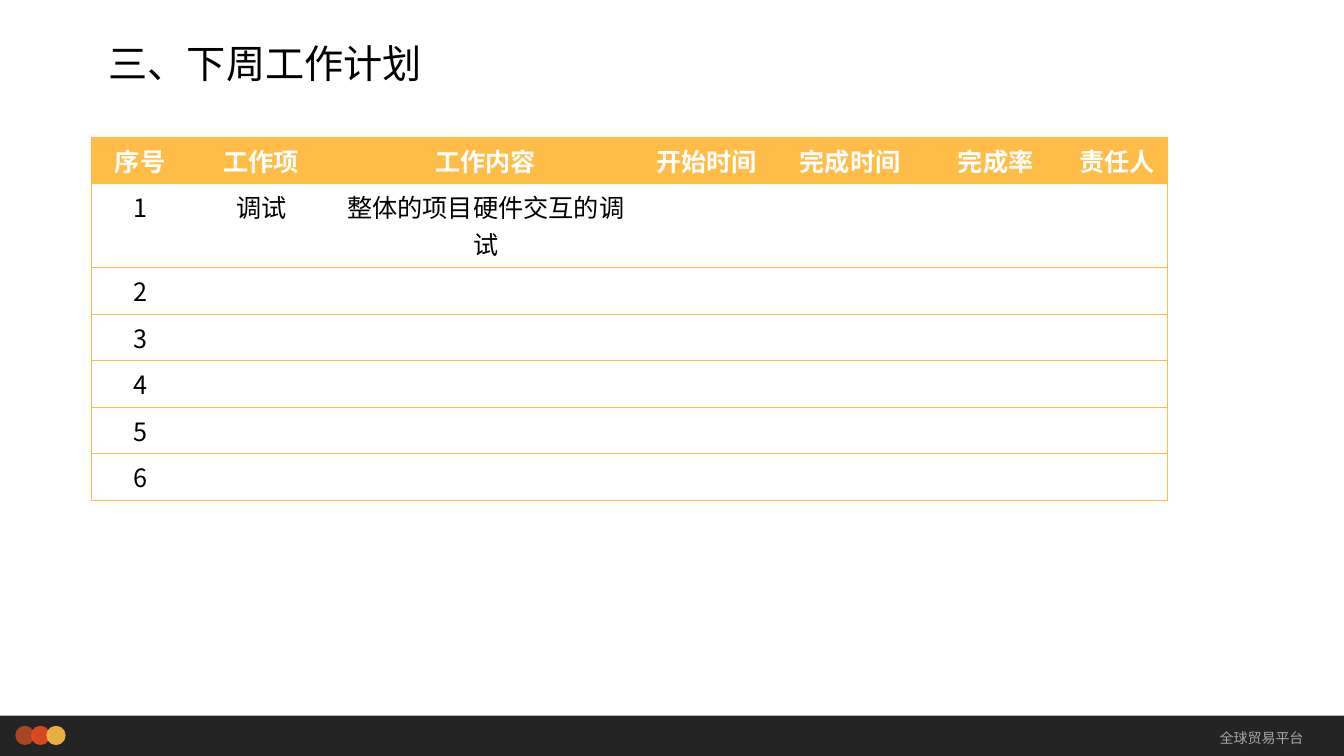
from pptx import Presentation
from pptx.dml.color import RGBColor
from pptx.enum.shapes import MSO_SHAPE
from pptx.enum.text import MSO_ANCHOR, PP_ALIGN
from pptx.oxml.ns import qn
from pptx.util import Pt
from lxml.etree import SubElement, Element

# Content
TITLE = "三、下周工作计划"
FOOTER = "全球贸易平台"
HEADER = ["序号", "工作项", "工作内容", "开始时间", "完成时间", "完成率", "责任人"]
TASKS = [("调试", "整体的项目硬件交互的调试"), (), (), (), (), ()]
COL_WIDTHS = [69.5, 103.8, 216.8, 98.6, 106.6, 101.5, 72]
ROW_HEIGHT, TALL_ROW_HEIGHT = 33.2, 60

# Style
FONT = "Noto Sans CJK SC"
BLACK = RGBColor(0x00, 0x00, 0x00)
WHITE = RGBColor(0xFF, 0xFF, 0xFF)
CHARCOAL = RGBColor(0x0D, 0x0D, 0x0D)
GREY = RGBColor(0xA6, 0xA6, 0xA6)
RUST = RGBColor(0xB6, 0x49, 0x26)
RED = RGBColor(0xE8, 0x4C, 0x22)
AMBER = RGBColor(0xFF, 0xBD, 0x47)


def write(tf, text, size=18, color=BLACK, bold=False, align=PP_ALIGN.LEFT,
          anchor=MSO_ANCHOR.TOP, spacing=None):
    tf.word_wrap = True
    tf.vertical_anchor = anchor
    p = tf.paragraphs[0]
    p.alignment = align
    p.line_spacing = spacing
    r = p.add_run()
    r.text = text
    r.font.name = FONT
    r.font.size = Pt(size)
    r.font.bold = bold
    r.font.color.rgb = color
    SubElement(r.font._element, qn("a:ea"), typeface=FONT)


def add_solid(s, kind, left, top, width, height, color):
    sp = s.shapes.add_shape(kind, Pt(left), Pt(top), Pt(width), Pt(height))
    sp.shadow.inherit = False
    sp.line.fill.background()
    sp.fill.solid()
    sp.fill.fore_color.rgb = color
    clr = sp.fill._xPr.find(qn("a:solidFill"))[0]
    SubElement(clr, qn("a:alpha"), val="90000")


def set_borders(cell, colors):
    """Set left, right, top and bottom lines; None hides a line."""
    tcPr = cell._tc.get_or_add_tcPr()
    for i, (side, color) in enumerate(zip("LRTB", colors)):
        ln = Element(qn(f"a:ln{side}"), w=str(Pt(0.5)))
        if color is None:
            SubElement(ln, qn("a:noFill"))
        else:
            fill = SubElement(ln, qn("a:solidFill"))
            SubElement(fill, qn("a:srgbClr"), val=str(color))
        tcPr.insert(i, ln)


prs = Presentation()
prs.slide_width, prs.slide_height = Pt(960), Pt(540)
s = prs.slides.add_slide(prs.slide_layouts[6])

# Footer bar with three overlapping dots
add_solid(s, MSO_SHAPE.RECTANGLE, 0, 511.2, 960, 28.8, CHARCOAL)
for i, color in enumerate([RUST, RED, AMBER]):
    add_solid(s, MSO_SHAPE.OVAL, 10.9 + 11.1 * i, 518.4, 13.8, 13.8, color)
sp = s.shapes.add_textbox(Pt(775.4), Pt(511.2), Pt(162.7), Pt(31.7))
write(sp.text_frame, FOOTER, size=10, color=GREY, align=PP_ALIGN.RIGHT,
      anchor=MSO_ANCHOR.MIDDLE)

# Title
sp = s.shapes.add_textbox(Pt(70.6), Pt(10.8), Pt(720), Pt(54.7))
write(sp.text_frame, TITLE, size=28, anchor=MSO_ANCHOR.BOTTOM, spacing=0.9)

# Plan table
rows = [HEADER] + [(str(n), *task) for n, task in enumerate(TASKS, 1)]
heights = [TALL_ROW_HEIGHT if i == 1 else ROW_HEIGHT for i in range(len(rows))]
table = s.shapes.add_table(len(rows), len(HEADER), Pt(65.3), Pt(98),
                           Pt(sum(COL_WIDTHS)), Pt(sum(heights))).table
table.horz_banding = False
table.first_row = False
for col, width in zip(table.columns, COL_WIDTHS):
    col.width = Pt(width)
for i, (row, height, values) in enumerate(zip(table.rows, heights, rows)):
    row.height = Pt(height)
    for j, cell in enumerate(row.cells):
        if i == 0:
            cell.fill.solid()
            cell.fill.fore_color.rgb = AMBER
        else:
            cell.fill.background()
        set_borders(cell, [AMBER if j == 0 else None,
                           AMBER if j == len(HEADER) - 1 else None,
                           AMBER, AMBER])
        if j < len(values):
            write(cell.text_frame, values[j], bold=i == 0,
                  color=WHITE if i == 0 else BLACK, align=PP_ALIGN.CENTER)

prs.save("out.pptx")
